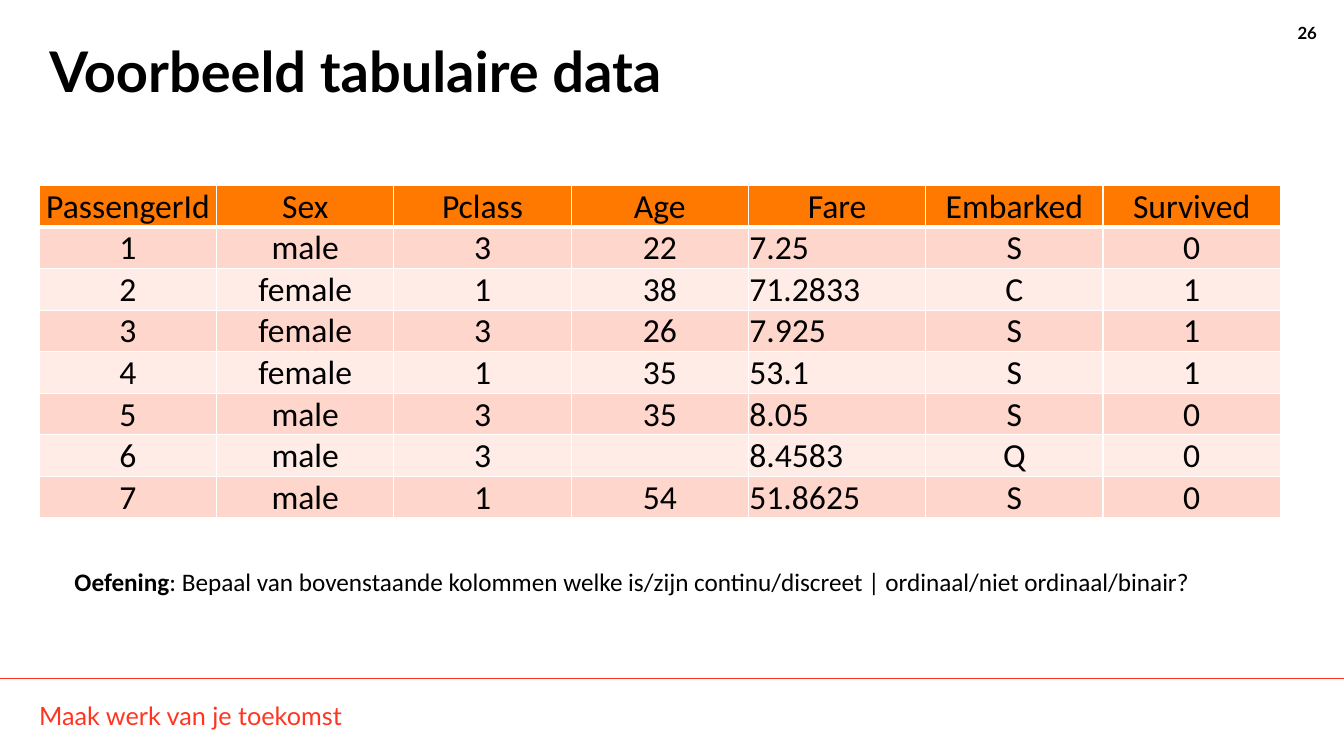
"""Build the slide with an example of tabular data."""
from lxml.etree import SubElement
from pptx import Presentation
from pptx.dml.color import RGBColor
from pptx.enum.shapes import MSO_CONNECTOR as CONN
from pptx.enum.text import MSO_ANCHOR as ANCHOR, PP_ALIGN as ALIGN
from pptx.oxml.ns import qn
from pptx.util import Inches, Pt

TITLE = "Voorbeeld tabulaire data"
EXERCISE = [
    ("Oefening", True),
    (": Bepaal van bovenstaande kolommen welke is/zijn continu/discreet"
     " | ordinaal/niet ordinaal/binair?", False),
]
SLOGAN = "Maak werk van je toekomst"
PAGE = "26"
PASSENGERS = [
    ("PassengerId", "Sex", "Pclass", "Age", "Fare", "Embarked", "Survived"),
    ("1", "male", "3", "22", "7.25", "S", "0"),
    ("2", "female", "1", "38", "71.2833", "C", "1"),
    ("3", "female", "3", "26", "7.925", "S", "1"),
    ("4", "female", "1", "35", "53.1", "S", "1"),
    ("5", "male", "3", "35", "8.05", "S", "0"),
    ("6", "male", "3", "", "8.4583", "Q", "0"),
    ("7", "male", "1", "54", "51.8625", "S", "0"),
]
FARE = PASSENGERS[0].index("Fare")

BLACK = RGBColor(0x00, 0x00, 0x00)
WHITE = RGBColor(0xFF, 0xFF, 0xFF)
RED = RGBColor(0xFF, 0x35, 0x21)
ORANGE = RGBColor(0xFF, 0x78, 0x00)
BANDS = (RGBColor(0xFF, 0xEC, 0xE7), RGBColor(0xFF, 0xD6, 0xCC))

WIDTH, HEIGHT = Inches(13.33), Inches(7.5)
MARGIN = Inches(0.39)
TABLE_TOP, TABLE_WIDTH, TABLE_HEIGHT = Inches(1.84), Inches(12.31), Inches(3.3)
RULE_TOP = Inches(6.73)


def write(tf, runs, size=18, font="Lato", color=BLACK, bold=False, align=ALIGN.LEFT):
    """Fill the first paragraph with one text or with (text, bold) runs."""
    p = tf.paragraphs[0]
    p.alignment = align
    for text, strong in [(runs, bold)] if isinstance(runs, str) else runs:
        r = p.add_run()
        r.text = text
        r.font.size, r.font.name, r.font.bold = Pt(size), font, strong
        r.font.color.rgb = color
    return p


def add_text(slide, box, runs, **fmt):
    """Add a wrapping text box at a box given in inches."""
    tf = slide.shapes.add_textbox(*map(Inches, box)).text_frame
    tf.word_wrap = True
    write(tf, runs, **fmt)


def add_borders(cell, widths):
    """Give a cell white borders, with widths in points for L, R, T and B."""
    for side, width in zip("LRTB", widths):
        ln = SubElement(cell._tc.get_or_add_tcPr(), qn(f"a:ln{side}"), w=str(Pt(width)))
        fill = SubElement(ln, qn("a:solidFill"))
        SubElement(fill, qn("a:srgbClr"), val=str(WHITE))


def add_passengers(slide):
    """Add the passenger table on an even grid."""
    rows, cols = len(PASSENGERS), len(PASSENGERS[0])
    table = slide.shapes.add_table(
        rows, cols, MARGIN, TABLE_TOP, TABLE_WIDTH, TABLE_HEIGHT).table
    for i, row in enumerate(PASSENGERS):
        for j, text in enumerate(row):
            cell = table.cell(i, j)
            add_borders(cell, (1, 1, 3 if i == 1 else 1, 3 if i == 0 else 1))
            cell.fill.solid()
            cell.fill.fore_color.rgb = BANDS[i % 2] if i else ORANGE
            cell.margin_left = cell.margin_right = cell.margin_top = Inches(0.01)
            cell.margin_bottom = 0
            cell.vertical_anchor = ANCHOR.BOTTOM
            if text:
                write(cell.text_frame, text, size=24, font="Calibri",
                      align=ALIGN.LEFT if i and j == FARE else ALIGN.CENTER)


def add_rule(slide):
    """Add the thin line above the slogan."""
    line = slide.shapes.add_connector(CONN.STRAIGHT, 0, RULE_TOP, WIDTH, RULE_TOP)
    line.line.color.rgb = RED
    line.line.width = Pt(0.5)
    SubElement(line._element.spPr, qn("a:effectLst"))


def main():
    """Build and save the slide."""
    prs = Presentation()
    prs.slide_width, prs.slide_height = WIDTH, HEIGHT
    slide = prs.slides.add_slide(prs.slide_layouts[5])

    title = slide.shapes.title
    title.left, title.top = MARGIN, MARGIN
    title.width, title.height = Inches(12.28), Inches(1.45)
    title.text_frame.vertical_anchor = ANCHOR.TOP
    write(title.text_frame, TITLE, size=40, bold=True).line_spacing = 0.9

    add_text(slide, (0.29, 6.9, 8.5, 0.4), SLOGAN, color=RED)
    add_rule(slide)
    add_text(slide, (12.67, 0.18, 0.49, 0.3), PAGE, size=12, bold=True, align=ALIGN.RIGHT)
    add_passengers(slide)
    add_text(slide, (0.64, 5.57, 12.52, 0.4), EXERCISE, font="Calibri")
    prs.save("out.pptx")


if __name__ == "__main__":
    main()
